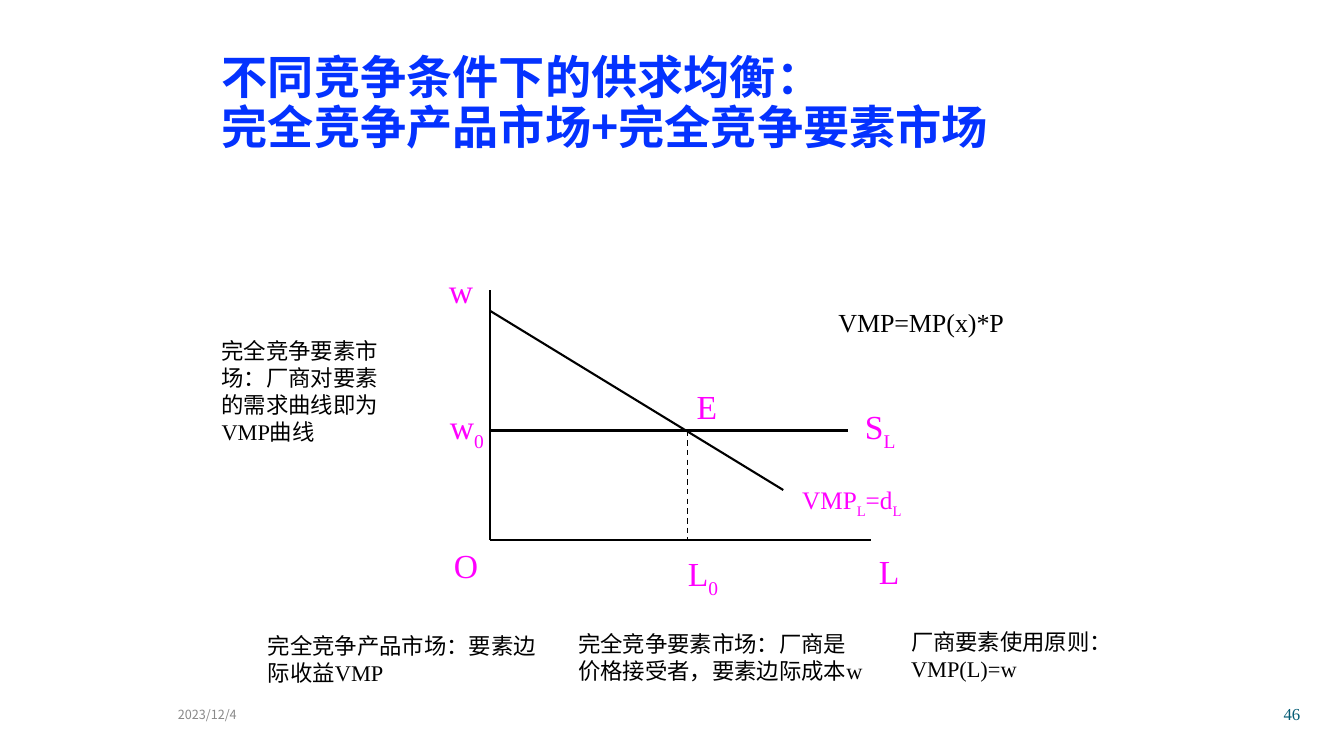
import pptx
import pptx.dml.color
import pptx.enum.dml
import pptx.enum.shapes
import pptx.enum.text
import pptx.oxml.ns
import pptx.util
from lxml import etree

Pt = pptx.util.Pt
BLACK = pptx.dml.color.RGBColor(0x00, 0x00, 0x00)
MAGENTA = pptx.dml.color.RGBColor(0xFF, 0x00, 0xFF)
TITLE_BLUE = pptx.dml.color.RGBColor(0x04, 0x32, 0xFF)
DATE_GRAY = pptx.dml.color.RGBColor(0x89, 0x89, 0x89)
NUMBER_TEAL = pptx.dml.color.RGBColor(0x04, 0x5C, 0x75)
CJK_FONT = "Noto Sans CJK SC"
LATIN_FONT = "Times New Roman"
LEFT = pptx.enum.text.PP_ALIGN.LEFT
RIGHT = pptx.enum.text.PP_ALIGN.RIGHT
TOP = pptx.enum.text.MSO_ANCHOR.TOP
MIDDLE = pptx.enum.text.MSO_ANCHOR.MIDDLE

ORIGIN_X, ORIGIN_Y = 350, 386
WAGE_Y = 307.5
EQUILIBRIUM_X = 491


def write_text(shape, text, size=16, color=BLACK, font=LATIN_FONT, bold=False,
               align=LEFT, anchor=TOP, spacing=1.0):
    """Parts between vertical bars alternate between normal and subscript."""
    frame = shape.text_frame
    frame.word_wrap = True
    frame.auto_size = pptx.enum.text.MSO_AUTO_SIZE.NONE
    frame.vertical_anchor = anchor
    paragraph = frame.paragraphs[0]
    paragraph.alignment = align
    paragraph.line_spacing = spacing
    for line_index, line in enumerate(text.split("\n")):
        if line_index:
            paragraph.add_line_break()
        for part_index, part in enumerate(line.split("|")):
            if not part:
                continue
            run = paragraph.add_run()
            run.text = part
            run.font.size = Pt(size)
            run.font.bold = bold
            run.font.color.rgb = color
            run.font.name = font
            properties = run._r.get_or_add_rPr()
            if part_index % 2:
                properties.set("baseline", "-25000")
            east_asian = etree.SubElement(properties, pptx.oxml.ns.qn("a:ea"))
            east_asian.set("typeface", CJK_FONT)


def add_text(slide, text, left, top, width, height, **text_format):
    box = slide.shapes.add_textbox(Pt(left), Pt(top), Pt(width), Pt(height))
    write_text(box, text, **text_format)


def add_line(slide, start, end, width=1.5, dashed=False):
    connector = slide.shapes.add_connector(
        pptx.enum.shapes.MSO_CONNECTOR.STRAIGHT,
        Pt(start[0]), Pt(start[1]), Pt(end[0]), Pt(end[1]))
    connector.line.color.rgb = BLACK
    connector.line.width = Pt(width)
    if dashed:
        connector.line.dash_style = pptx.enum.dml.MSO_LINE.DASH
    etree.SubElement(connector._element.spPr, pptx.oxml.ns.qn("a:effectLst"))


def add_title(slide, text):
    title = slide.shapes.title
    title.left, title.top = Pt(151.2), Pt(29.5)
    title.width, title.height = Pt(612), Pt(90)
    write_text(title, text, size=33, color=TITLE_BLUE, font=CJK_FONT,
               bold=True, anchor=MIDDLE, spacing=0.9)


def add_diagram(slide):
    origin = (ORIGIN_X, ORIGIN_Y)
    add_line(slide, (ORIGIN_X, 207.5), origin)
    add_line(slide, origin, (622, ORIGIN_Y))
    add_line(slide, (ORIGIN_X, WAGE_Y), (606, WAGE_Y))
    add_line(slide, (ORIGIN_X, 222), (559.5, 350))
    add_line(slide, (EQUILIBRIUM_X, WAGE_Y), (EQUILIBRIUM_X, ORIGIN_Y),
             width=1, dashed=True)
    labels = [
        ("w", 311, 189.5, 34),
        ("w|0", 305.3, 286.5, 47.5),
        ("L", 615.6, 390.2, 34),
        ("O", 314.6, 386, 34),
        ("L|0", 478, 391.7, 42),
        ("E", 485.3, 272.2, 34),
        ("S|L", 604.8, 286.5, 42),
    ]
    for text, left, top, width in labels:
        add_text(slide, text, left, top, width, 36,
                 size=24, color=MAGENTA, align=RIGHT)
    add_text(slide, "VMP|L|=d|L", 558, 342.7, 93, 29,
             size=18, color=MAGENTA, align=RIGHT)


def add_notes(slide):
    notes = [
        ("完全竞争产品市场：要素边际收益VMP", 184.3, 447.8, 221, 46),
        ("完全竞争要素市场：厂商是价格接受者，要素边际成本w", 406, 446.4, 221, 46),
        ("完全竞争要素市场：厂商对要素的需求曲线即为VMP曲线", 151.2, 237.6, 136, 85),
        ("厂商要素使用原则：VMP(L)=w", 643.7, 445, 221, 46),
    ]
    for note in notes:
        add_text(slide, *note)
    add_text(slide, "|VMP=MP(x)*P", 591.8, 193.7, 165.6, 33, size=32)


def add_footer(slide):
    add_text(slide, "2023/12/4", 120, 492, 200, 36, size=9,
             color=DATE_GRAY, font=CJK_FONT, anchor=MIDDLE)
    add_text(slide, "46", 736, 492, 200, 36, size=12,
             color=NUMBER_TEAL, align=RIGHT, anchor=MIDDLE)


def main():
    presentation = pptx.Presentation()
    presentation.slide_width = Pt(960)
    presentation.slide_height = Pt(540)
    slide = presentation.slides.add_slide(presentation.slide_layouts[5])
    add_title(slide, "不同竞争条件下的供求均衡：\n完全竞争产品市场+完全竞争要素市场")
    add_diagram(slide)
    add_notes(slide)
    add_footer(slide)
    presentation.save("out.pptx")


if __name__ == "__main__":
    main()
